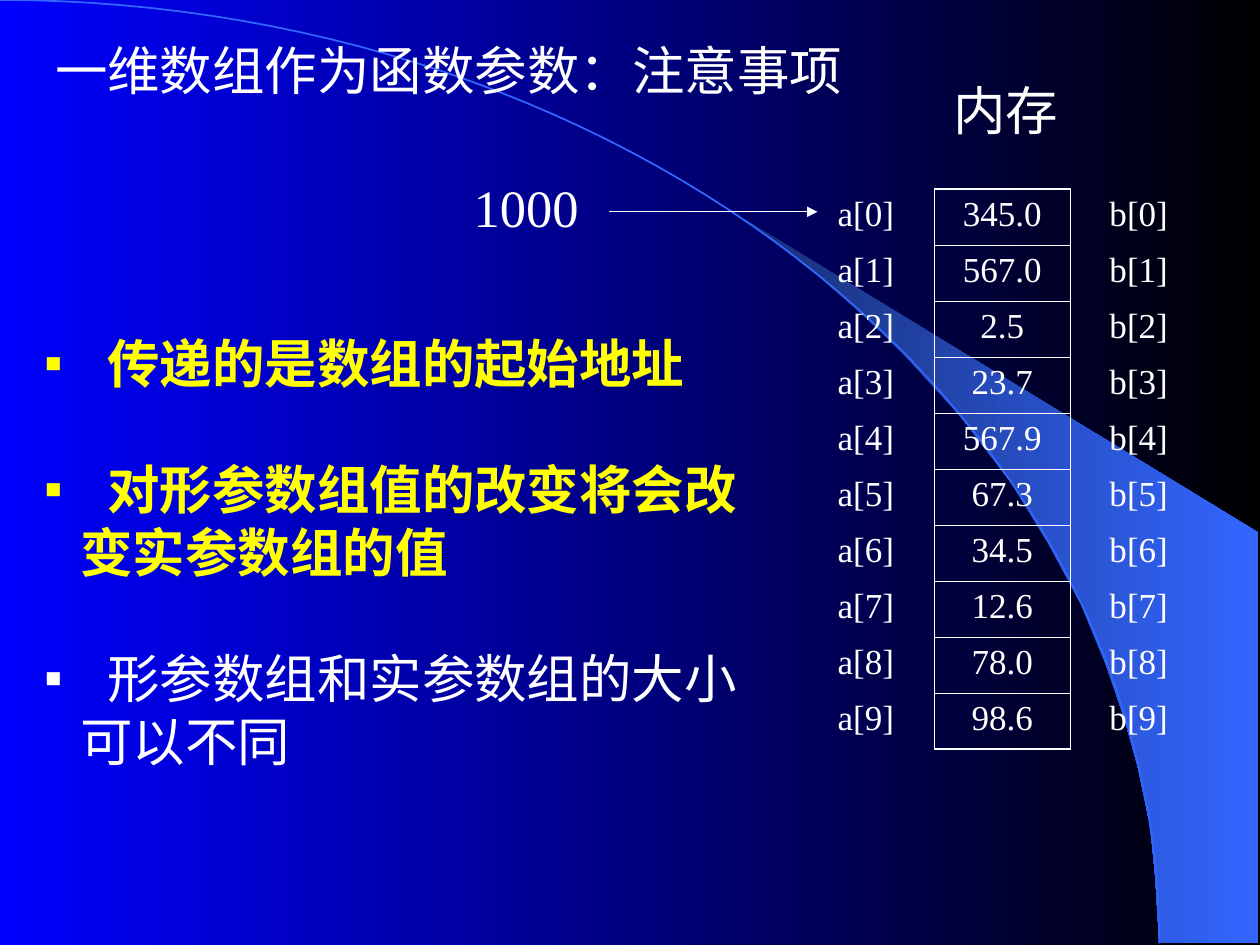
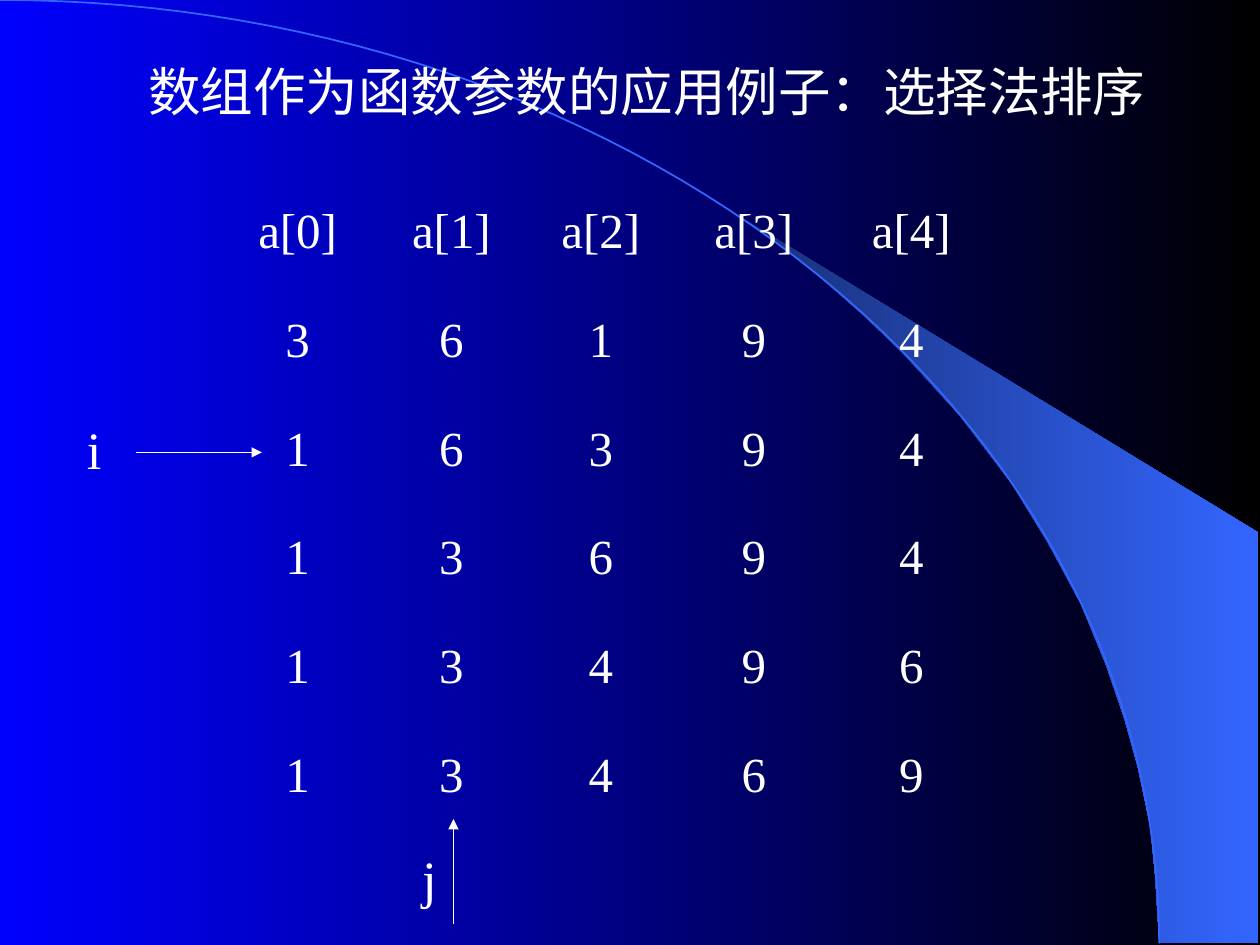
from math import cos, pi, sin

from lxml import etree
from pptx import Presentation
from pptx.dml.color import RGBColor
from pptx.enum import shapes, text
from pptx.oxml.ns import qn
from pptx.util import Cm, Pt

# Shared style
FONT = "Times New Roman"
WHITE, YELLOW, BLUE = "FFFFFF", "FFFF00", "3366FF"
BACKGROUND = ("0000FF", "000000")
BEAM = ("182F76", BLUE)
NO_GRID_STYLE = "{2D5ABB26-0587-4C30-8999-92F81FD0307C}"

# Shared decoration, in cm
ARC_WIDTH, ARC_HEIGHT, ARC_STEPS = 23.37, 19.02, 60
BEAM_OUTLINE = [
    (23.37, 19), (25.37, 19.02), (25.37, 10.74), (14.96, 4.39), (15.85, 5.05),
    (16.59, 5.64), (17.4, 6.35), (18.19, 7.11), (19.35, 8.38), (20.4, 9.75),
    (21.13, 10.95), (21.79, 12.17), (22.3, 13.41), (22.68, 14.53),
    (22.94, 15.47), (23.19, 16.66), (23.29, 17.68),
]

# Slide content: labels are (text, left, top, width), arrows are (from, to)
MEMORY_LABELS = [
    ("一维数组作为函数参数：注意事项", 0.86, 0.64, 16.38),
    ("内存", 18.97, 1.45, 2.62),
    ("1000", 9.3, 3.4, 2.62),
]
ADDRESS_ARROW = ((12.27, 4.27), (16.48, 4.27))
MEMORY_VALUES = ["345.0", "567.0", "2.5", "23.7", "567.9",
                 "67.3", "34.5", "12.6", "78.0", "98.6"]
NOTES = [
    (["传递的是数组的起始地址"], YELLOW, True),
    (["对形参数组值的改变将会改", "变实参数组的值"], YELLOW, True),
    (["形参数组和实参数组的大小", "可以不同"], WHITE, False),
]

SORT_LABELS = [
    ("数组作为函数参数的应用例子：选择法排序", 2.74, 1.07, 20.96),
    ("i", 1.5, 8.28, 0.79),
    ("j", 8.26, 16.94, 0.79),
]
SORT_ARROWS = [((2.74, 9.12), (5.28, 9.12)), ((9.14, 18.62), (9.14, 16.51))]
SORT_PASSES = ["36194", "16394", "13694", "13496", "13469"]


def rgb(color):
    return RGBColor.from_string(color)


def shade(fill, colors):
    fill.gradient()
    fill.gradient_angle = 0
    for stop, color in zip(fill.gradient_stops, colors):
        stop.color.rgb = rgb(color)


def style(paragraph, size, color=WHITE, bold=False):
    font = paragraph.font
    font.name, font.size, font.bold = FONT, Pt(size), bold
    font.color.rgb = rgb(color)


def add_outline(slide, points, close):
    points = [(Cm(x), Cm(y)) for x, y in points]
    builder = slide.shapes.build_freeform(*points[0])
    builder.add_line_segments(points[1:], close=close)
    outline = builder.convert_to_shape()
    outline.shadow.inherit = False
    return outline


def add_slide(prs):
    slide = prs.slides.add_slide(prs.slide_layouts[6])
    beam = add_outline(slide, BEAM_OUTLINE, True)
    shade(beam.fill, BEAM)
    beam.line.fill.background()

    # Quarter ellipse from the top left corner to the bottom edge
    angles = [pi / 2 * step / ARC_STEPS for step in range(ARC_STEPS + 1)]
    arc = add_outline(slide, [(ARC_WIDTH * sin(a), ARC_HEIGHT * (1 - cos(a)))
                              for a in angles], False)
    arc.fill.background()
    arc.line.color.rgb = rgb(BLUE)
    arc.line.width = Pt(1)
    return slide


def add_label(slide, words, left, top, width):
    frame = slide.shapes.add_textbox(Cm(left), Cm(top), Cm(width), Cm(1.52)).text_frame
    frame.word_wrap = False
    frame.text = words
    style(frame.paragraphs[0], 30)


def add_arrow(slide, start, end):
    arrow = slide.shapes.add_connector(
        shapes.MSO_CONNECTOR.STRAIGHT, *(Cm(v) for v in start + end))
    arrow.line.color.rgb = rgb(WHITE)
    arrow.line.width = Pt(0.75)
    etree.SubElement(arrow.line._get_or_add_ln(), qn("a:tailEnd"), type="triangle")
    etree.SubElement(arrow._element.spPr, qn("a:effectLst"))


def add_border(cell, side, width):
    line = etree.SubElement(cell._tc.get_or_add_tcPr(), qn("a:ln" + side), w=str(Pt(width)))
    solid = etree.SubElement(line, qn("a:solidFill"))
    etree.SubElement(solid, qn("a:srgbClr"), val=WHITE)


def add_grid(slide, rows, left, top, widths, row_height, size, sides=None):
    """Place a clear table; sides names the bordered cell edges of each column."""
    table = slide.shapes.add_table(
        len(rows), len(widths), Cm(left), Cm(top),
        Cm(sum(widths)), Cm(row_height * len(rows))).table
    table.first_row = table.horz_banding = False
    table._tbl.tblPr.find(qn("a:tableStyleId")).text = NO_GRID_STYLE
    for column, width in zip(table.columns, widths):
        column.width = Cm(width)
    for r, row in enumerate(rows):
        table.rows[r].height = Cm(row_height)
        for c, words in enumerate(row):
            cell = table.cell(r, c)
            cell.text = words
            paragraph = cell.text_frame.paragraphs[0]
            paragraph.alignment = text.PP_ALIGN.CENTER
            style(paragraph, size)
            for side in sides[c] if sides else "":
                outer = (side, r) in (("T", 0), ("B", len(rows) - 1))
                add_border(cell, side, 1.08 if outer else 0.45)
            cell.fill.background()


def add_notes(slide):
    frame = slide.shapes.add_textbox(Cm(0.64), Cm(6.55), Cm(14.81), Cm(10.41)).text_frame
    frame.word_wrap = True
    paragraph = frame.paragraphs[0]
    for n, (lines, color, bold) in enumerate(NOTES):
        for m, line in enumerate(lines):
            if n or m:
                paragraph = frame.add_paragraph()
            paragraph.text = line
            props = paragraph._p.get_or_add_pPr()
            if m:
                props.set("marL", str(Cm(0.73)))
            else:
                props.set("marL", str(Cm(1.27)))
                props.set("indent", str(Cm(-1.27)))
                bullet_color = etree.SubElement(props, qn("a:buClr"))
                etree.SubElement(bullet_color, qn("a:srgbClr"), val=color)
                etree.SubElement(props, qn("a:buFont"), typeface=FONT)
                etree.SubElement(props, qn("a:buChar"), char="▪")
                if n:
                    paragraph.space_before = Pt(36)
            style(paragraph, 30, color, bold)


def build_memory_slide(prs):
    slide = add_slide(prs)
    for label in MEMORY_LABELS:
        add_label(slide, *label)
    add_notes(slide)
    rows = [(f"a[{i}]", value, f"b[{i}]") for i, value in enumerate(MEMORY_VALUES)]
    add_grid(slide, rows, 16.08, 3.81, [2.75] * 3, 1.13, 20, ["R", "LRTB", "L"])
    add_arrow(slide, *ADDRESS_ARROW)


def build_sort_slide(prs):
    slide = add_slide(prs)
    for label in SORT_LABELS:
        add_label(slide, *label)
    rows = [[f"a[{i}]" for i in range(5)], *SORT_PASSES]
    add_grid(slide, rows, 4.45, 4.01, [3.1, 3.1, 2.92, 3.25, 3.1], 2.19, 28)
    for arrow in SORT_ARROWS:
        add_arrow(slide, *arrow)


def main():
    prs = Presentation()
    prs.slide_width, prs.slide_height = Cm(25.4), Cm(19.05)
    shade(prs.slide_master.background.fill, BACKGROUND)
    build_memory_slide(prs)
    build_sort_slide(prs)
    prs.save("out.pptx")


if __name__ == "__main__":
    main()
